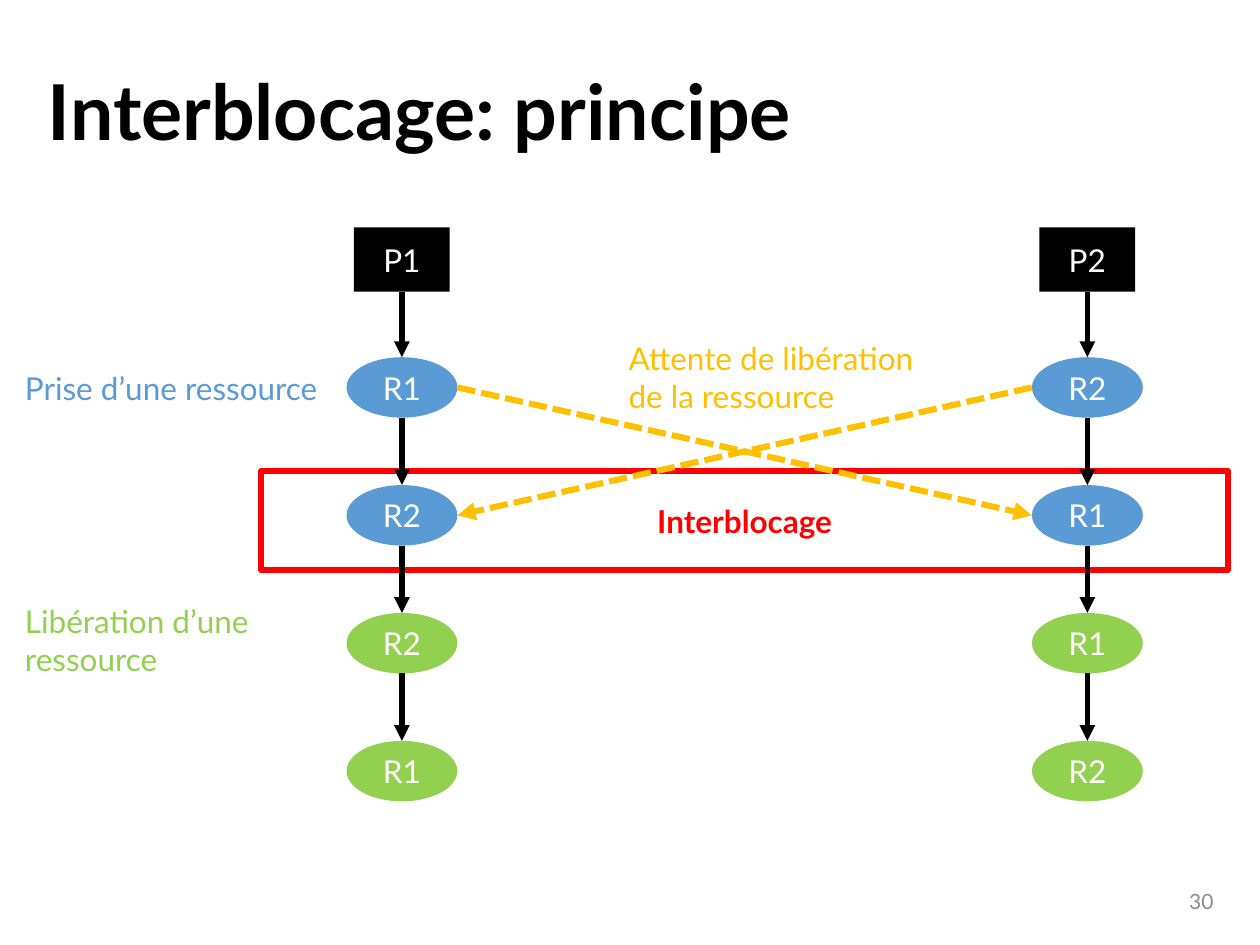
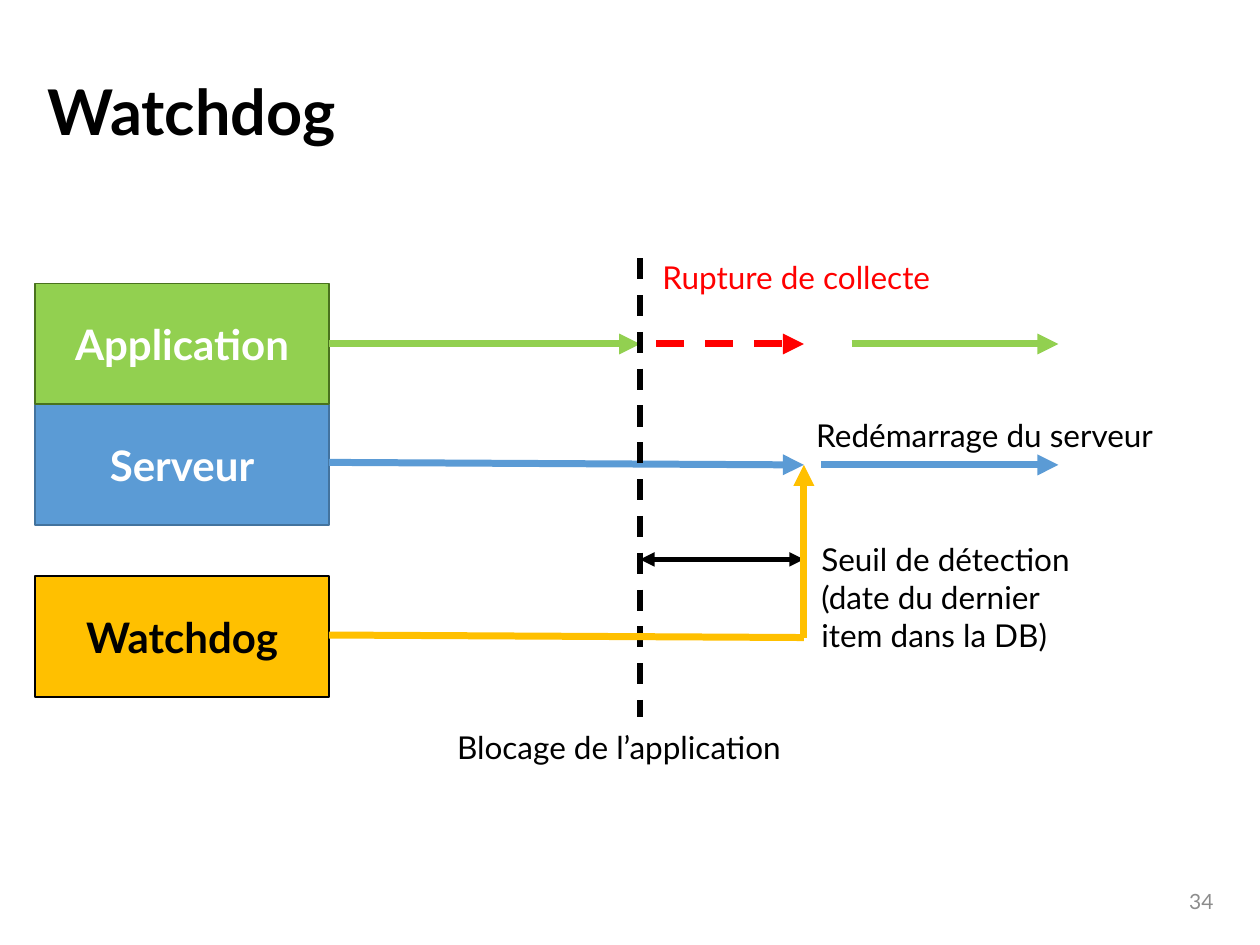
from lxml import etree
from pptx import Presentation
from pptx.dml.color import RGBColor
from pptx.enum.dml import MSO_LINE
from pptx.enum.shapes import MSO_CONNECTOR, MSO_SHAPE
from pptx.enum.text import MSO_ANCHOR, MSO_AUTO_SIZE, PP_ALIGN
from pptx.oxml.ns import qn
from pptx.util import Inches, Pt

RECT, OVAL = MSO_SHAPE.RECTANGLE, MSO_SHAPE.OVAL
STRAIGHT = MSO_CONNECTOR.STRAIGHT
DASH, SHORT_DASH = MSO_LINE.DASH, MSO_LINE.SQUARE_DOT
LEFT, CENTER, RIGHT = PP_ALIGN.LEFT, PP_ALIGN.CENTER, PP_ALIGN.RIGHT
TOP, MIDDLE = MSO_ANCHOR.TOP, MSO_ANCHOR.MIDDLE
NO_FIT = MSO_AUTO_SIZE.NONE

FONT = "Lato"
BLACK, WHITE, GREY = "000000", "FFFFFF", "8C8C8C"
BLUE, GREEN, AMBER, RED = "5B9BD5", "92D050", "FFC000", "FF0000"
DARK_BLUE, DARK_GREEN = "43739E", "49721E"

WIDTH, HEIGHT = 10, 7.5
MARGIN = 0.28
CONTENT_RIGHT = 9.74
TITLE_ONLY = 5


def rgb(color):
    return RGBColor.from_string(color)


def write(tf, lines, size, color, bold=False, align=LEFT, anchor=TOP):
    """Fill a text frame with one paragraph per line."""
    tf.word_wrap = True
    tf.auto_size = NO_FIT
    tf.vertical_anchor = anchor
    for i, line in enumerate(lines):
        p = tf.add_paragraph() if i else tf.paragraphs[0]
        p.alignment = align
        r = p.add_run()
        r.text = line
        r.font.name = FONT
        r.font.size = Pt(size)
        r.font.bold = bold
        r.font.color.rgb = rgb(color)


def add_label(s, x, y, w, lines, color=BLACK, size=18, align=LEFT, anchor=TOP):
    h = 0.1 + 0.3 * len(lines)
    sp = s.shapes.add_textbox(Inches(x), Inches(y), Inches(w), Inches(h))
    write(sp.text_frame, lines, size, color, align=align, anchor=anchor)


def add_node(s, kind, cx, cy, w, h, text, fill=None, outline=None,
             weight=1, size=18, color=WHITE, bold=False):
    """Draw a captioned shape around its centre."""
    sp = s.shapes.add_shape(kind, Inches(cx - w / 2), Inches(cy - h / 2),
                            Inches(w), Inches(h))
    sp.shadow.inherit = False
    if fill:
        sp.fill.solid()
        sp.fill.fore_color.rgb = rgb(fill)
    else:
        sp.fill.background()
    if outline:
        sp.line.color.rgb = rgb(outline)
        sp.line.width = Pt(weight)
    else:
        sp.line.fill.background()
    write(sp.text_frame, [text], size, color, bold, CENTER, MIDDLE)


def add_line(s, start, end, color, weight, dash=None, ends=("tailEnd",)):
    c = s.shapes.add_connector(STRAIGHT, *map(Inches, start + end))
    c.line.color.rgb = rgb(color)
    c.line.width = Pt(weight)
    if dash:
        c.line.dash_style = dash
    sp_pr = c.element.spPr
    ln = sp_pr.find(qn("a:ln"))
    for end_tag in ends:
        etree.SubElement(ln, qn(f"a:{end_tag}"), type="triangle")
    etree.SubElement(sp_pr, qn("a:effectLst"))


def add_titled_slide(prs, title, number, size):
    s = prs.slides.add_slide(prs.slide_layouts[TITLE_ONLY])
    sp = s.shapes.title
    sp.left, sp.top = Inches(MARGIN), Inches(0.4)
    sp.width, sp.height = Inches(CONTENT_RIGHT - MARGIN), Inches(1.03)
    write(sp.text_frame, [title], size, BLACK, bold=True, anchor=MIDDLE)
    sp.text_frame.paragraphs[0].line_spacing = 0.9
    add_label(s, 7.06, 6.95, 2.67, [number], GREY, 12, RIGHT, MIDDLE)
    return s


def build_deadlock(prs):
    s = add_titled_slide(prs, "Interblocage: principe", "30", 44)
    columns = {3.19: ("P1", "R1", "R2"), 8.63: ("P2", "R2", "R1")}
    rows = [2.06 + 1.015 * i for i in range(5)]
    oval_w, oval_h, box_w, box_h = 0.88, 0.48, 0.76, 0.51

    for x, (process, first, second) in columns.items():
        add_node(s, RECT, x, rows[0], box_w, box_h, process, BLACK)
        steps = [(first, BLUE), (second, BLUE), (second, GREEN), (first, GREEN)]
        for y, (resource, fill) in zip(rows[1:], steps):
            add_node(s, OVAL, x, y, oval_w, oval_h, resource, fill)

    left, right = columns
    add_node(s, RECT, 5.91, 4.13, 7.67, 0.79, "Interblocage",
             outline=RED, weight=3.5, color=RED, bold=True)
    for x in columns:
        for i, (upper, lower) in enumerate(zip(rows, rows[1:])):
            upper_h = oval_h if i else box_h
            add_line(s, (x, upper + upper_h / 2), (x, lower - oval_h / 2),
                     BLACK, 3)

    inner_left, inner_right = left + oval_w / 2, right - oval_w / 2
    for x1, x2 in ((inner_right, inner_left), (inner_left, inner_right)):
        add_line(s, (x1, rows[1]), (x2, rows[2]), AMBER, 3.5, SHORT_DASH)

    add_label(s, 0.1, 2.88, 2.64, ["Prise d’une ressource"], BLUE)
    add_label(s, 0.1, 4.73, 2.13, ["Libération d’une", "ressource"], GREEN)
    add_label(s, 4.89, 2.64, 2.64,
              ["Attente de libération", "de la ressource"], AMBER)


def build_watchdog(prs):
    s = add_titled_slide(prs, "Watchdog", "34", 36)
    lane_w, lane_h = 2.33, 0.96
    start = MARGIN + lane_w
    blocked, detected, resumed = 5.08, 6.38, 8.4
    app_y, server_y, watchdog_y = 2.73, 3.69, 5.05
    threshold_y = 4.44

    lanes = [("Serveur", server_y, BLUE, DARK_BLUE, WHITE),
             ("Application", app_y, GREEN, DARK_GREEN, WHITE),
             ("Watchdog", watchdog_y, AMBER, BLACK, BLACK)]
    for name, y, fill, outline, color in lanes:
        add_node(s, RECT, MARGIN + lane_w / 2, y, lane_w, lane_h, name,
                 fill, outline, size=24, color=color, bold=True)

    add_line(s, (start, server_y - 0.02), (detected, server_y), BLUE, 4)
    add_line(s, (start, app_y), (blocked, app_y), GREEN, 4)
    add_line(s, (5.21, app_y), (detected, app_y), RED, 4, DASH)
    add_line(s, (blocked, 2.05), (blocked, 5.69), BLACK, 3, DASH, ends=())
    add_line(s, (blocked, threshold_y), (detected, threshold_y), BLACK, 2.75,
             ends=("headEnd", "tailEnd"))
    corner = (detected, watchdog_y + 0.01)
    add_line(s, (start, watchdog_y - 0.01), corner, AMBER, 4, ends=())
    add_line(s, corner, (detected, server_y), AMBER, 4)
    add_line(s, (6.52, server_y), (resumed, server_y), BLUE, 4)
    add_line(s, (6.76, app_y), (resumed, app_y), GREEN, 4)

    add_label(s, 3.53, 5.73, 2.93, ["Blocage de l’application"])
    add_label(s, detected, 3.25, 3.36, ["Redémarrage du serveur"])
    add_label(s, 6.42, 4.24, 2.27,
              ["Seuil de détection", "(date du dernier", "item dans la DB)"])
    add_label(s, 5.16, 2, 2.53, ["Rupture de collecte"], RED)


def main():
    prs = Presentation()
    prs.slide_width, prs.slide_height = Inches(WIDTH), Inches(HEIGHT)
    build_deadlock(prs)
    build_watchdog(prs)
    prs.save("out.pptx")


if __name__ == "__main__":
    main()
